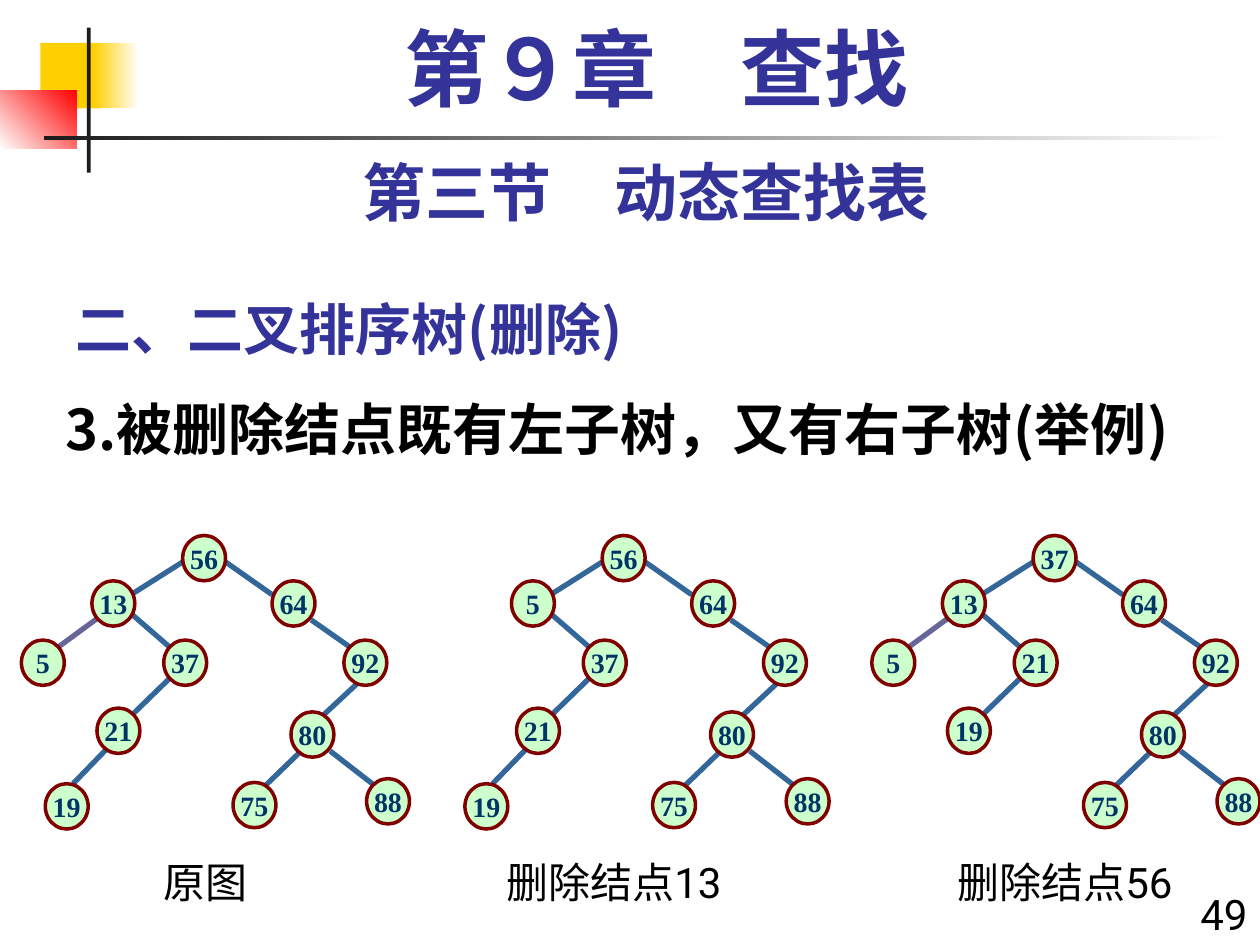
import pptx
import pptx.util
import pptx.dml.color
import pptx.enum.shapes
import pptx.enum.text
import pptx.oxml.ns
import lxml.etree

Inches = pptx.util.Inches
Pt = pptx.util.Pt
SHAPE = pptx.enum.shapes.MSO_SHAPE
ALIGN = pptx.enum.text.PP_ALIGN
ANCHOR = pptx.enum.text.MSO_ANCHOR
CJK = "Noto Sans CJK SC"
NODE_W, NODE_H = 0.34, 0.36

SLOTS = {
    "root": (1.45, 4.25), "left": (0.73, 4.61), "right": (2.16, 4.61),
    "left_left": (0.17, 5.08), "left_right": (1.3, 5.08), "right_right": (2.73, 5.08),
    "inner": (0.77, 5.62), "inner_left": (0.36, 6.22), "outer": (2.31, 5.65),
    "outer_left": (1.85, 6.21), "outer_right": (2.91, 6.18),
}
EDGES = {
    "left": (1.45, 4.46, 1.04, 4.72), "right": (1.79, 4.46, 2.16, 4.72),
    "left_left": (0.77, 4.91, 0.47, 5.13), "left_right": (1.04, 4.87, 1.34, 5.13),
    "right_right": (2.47, 4.92, 2.77, 5.13), "inner": (1.34, 5.39, 0.97, 5.75),
    "inner_left": (0.88, 5.91, 0.58, 6.22), "outer": (2.83, 5.43, 2.54, 5.7),
    "outer_left": (2.37, 5.98, 2.08, 6.26), "outer_right": (2.62, 5.96, 2.98, 6.24),
}
RIGHT_SIDE = {"right": 64, "right_right": 92, "outer": 80, "outer_left": 75, "outer_right": 88}
TREES = [
    (0, {"root": 56, "left": 13, "left_left": 5, "left_right": 37, "inner": 21, "inner_left": 19}),
    (3.33, {"root": 56, "left": 5, "left_right": 37, "inner": 21, "inner_left": 19}),
    (6.75, {"root": 37, "left": 13, "left_left": 5, "left_right": 21, "inner": 19}),
]


def rgb(value):
    return pptx.dml.color.RGBColor.from_string(value)


def add_run(p, text, size, font, color, bold=False):
    r = p.add_run()
    r.text = text
    r.font.size = Pt(size)
    r.font.name = font
    r.font.bold = bold
    r.font.color.rgb = rgb(color)
    ea = lxml.etree.SubElement(r.font._element, pptx.oxml.ns.qn("a:ea"))
    ea.set("typeface", CJK)


def add_text(slide, box, text, size, font, color="000000", bold=False,
             align=ALIGN.LEFT, anchor=ANCHOR.TOP):
    tf = slide.shapes.add_textbox(*map(Inches, box)).text_frame
    tf.word_wrap = True
    tf.vertical_anchor = anchor
    p = tf.paragraphs[0]
    p.alignment = align
    add_run(p, text, size, font, color, bold)
    return p


def add_bar(slide, box, colors, angle=0):
    sp = slide.shapes.add_shape(SHAPE.RECTANGLE, *map(Inches, box))
    sp.shadow.inherit = False
    sp.line.fill.background()
    if len(colors) == 1:
        sp.fill.solid()
        sp.fill.fore_color.rgb = rgb(colors[0])
        return
    sp.fill.gradient()
    sp.fill.gradient_angle = angle
    for stop, color, position in zip(sp.fill.gradient_stops, colors, (0, 1)):
        stop.color.rgb = rgb(color)
        stop.position = position


def add_edge(shapes, points, color):
    line = shapes.add_connector(pptx.enum.shapes.MSO_CONNECTOR.STRAIGHT, *map(Inches, points))
    line.line.color.rgb = rgb(color)
    line.line.width = Pt(3)
    lxml.etree.SubElement(line._element.spPr, pptx.oxml.ns.qn("a:effectLst"))


def add_node(shapes, x, y, key):
    sp = shapes.add_shape(SHAPE.OVAL, *map(Inches, (x, y, NODE_W, NODE_H)))
    sp.shadow.inherit = False
    sp.fill.solid()
    sp.fill.fore_color.rgb = rgb("CCFFCC")
    sp.line.color.rgb = rgb("800000")
    sp.line.width = Pt(2)
    tf = sp.text_frame
    tf.word_wrap = False
    tf.vertical_anchor = ANCHOR.MIDDLE
    p = tf.paragraphs[0]
    p.alignment = ALIGN.CENTER
    add_run(p, str(key), 16, "Times New Roman", "003366", True)


def add_tree(slide, dx, keys):
    shapes = slide.shapes.add_group_shape().shapes
    for slot, (x1, y1, x2, y2) in EDGES.items():
        if slot in keys:
            color = "666699" if slot == "left_left" else "336699"
            add_edge(shapes, (x1 + dx, y1, x2 + dx, y2), color)
    for slot, key in keys.items():
        x, y = SLOTS[slot]
        add_node(shapes, x + dx, y, key)


def main():
    prs = pptx.Presentation()
    prs.slide_width, prs.slide_height = Inches(10), Inches(7.5)
    slide = prs.slides.add_slide(prs.slide_layouts[6])

    add_bar(slide, (0.32, 0.34, 0.48, 0.52), ["FFCF01"])
    add_bar(slide, (0.74, 0.34, 0.36, 0.52), ["FFCF01", "FFFFFF"])
    add_bar(slide, (0, 0.72, 0.61, 0.46), ["FFFFFF", "FF0000"], 45)
    add_bar(slide, (0.69, 0.22, 0.03, 1.15), ["1C1C1C"])
    add_bar(slide, (0.35, 1.08, 9.45, 0.03), ["1C1C1C", "FFFFFF"])

    chapter = add_text(slide, (0.67, 0.17, 9.08, 0.83), "第９章　查找", 48,
                       "Times New Roman", "333399", True, ALIGN.CENTER)
    chapter.line_spacing = 0.9
    add_text(slide, (0.5, 1.17, 9.25, 0.7), "第三节　动态查找表", 36, "Roboto",
             "333399", True, ALIGN.CENTER)
    add_text(slide, (0.5, 2.17, 6.25, 0.75), "二、二叉排序树(删除)", 32, CJK,
             "333399", True, anchor=ANCHOR.BOTTOM)
    add_text(slide, (0.42, 3.08, 9.58, 0.75), "3.被删除结点既有左子树，又有右子树(举例)",
             32, CJK, bold=True)

    for dx, keys in TREES:
        add_tree(slide, dx, {**keys, **RIGHT_SIDE})

    add_text(slide, (0.92, 6.75, 1.42, 0.5), "原图", 24, "Roboto", align=ALIGN.CENTER)
    add_text(slide, (3.92, 6.75, 2.08, 0.5), "删除结点13", 24, "Roboto")
    add_text(slide, (7.5, 6.75, 2, 0.5), "删除结点56", 24, "Roboto")
    add_text(slide, (9.33, 7, 0.67, 0.5), "49", 24, "Roboto", align=ALIGN.RIGHT)
    prs.save("out.pptx")


if __name__ == "__main__":
    main()
